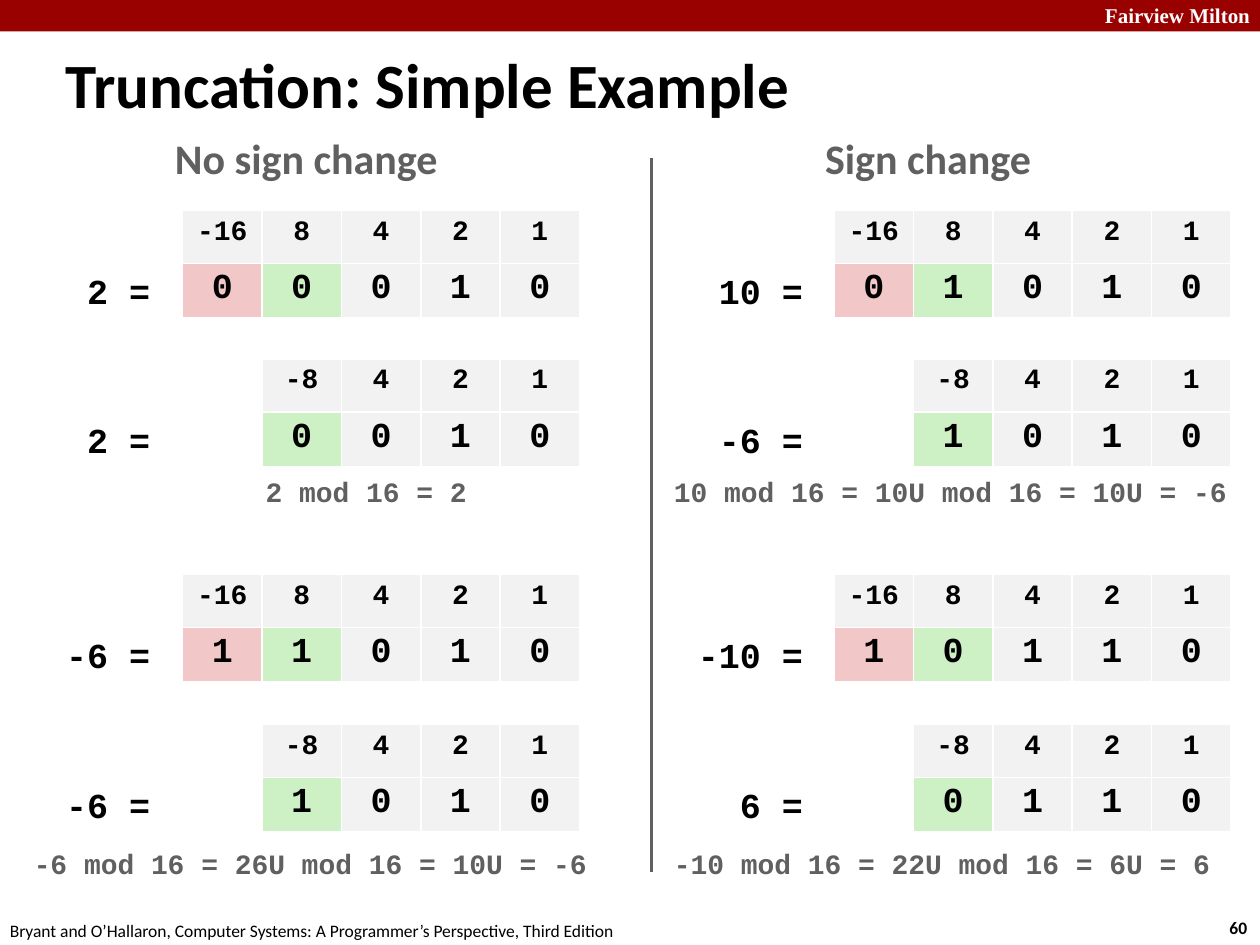
import pptx
import pptx.dml.color
import pptx.enum.shapes
import pptx.enum.text
import pptx.util
from pptx.util import Inches

COLORS = {
    "banner": "990000",
    "white": "FFFFFF",
    "black": "000000",
    "gray": "606060",
    "cell": "F2F2F2",
    "dropped": "F1C7C7",
    "sign": "CDF1C5",
}
ALIGN = pptx.enum.text.PP_ALIGN
CODE_FONT = "Courier New"
WEIGHTS = ["-16", "8", "4", "2", "1"]
SHORT_WEIGHTS = ["", "-8", "4", "2", "1"]
TABLE_TOPS = [1.67, 2.85, 4.56, 5.75]
COLUMN_WIDTH, ROW_HEIGHT = 0.63, 0.42

# Each half: table left edge, label right edge, (value, bits) from top to bottom.
HALVES = [
    (1.45, 1.46, [("2", "00010"), ("2", "0010"), ("-6", "11010"), ("-6", "1010")]),
    (6.62, 6.64, [("10", "01010"), ("-6", "1010"), ("-10", "10110"), ("6", "0110")]),
]
HEADINGS = [("No sign change", 1.29, 2.31), ("Sign change", 6.45, 1.85)]
NOTES = [
    ("2 mod 16 = 2", 2.01, 3.72, 1.82),
    ("10 mod 16 = 10U mod 16 = 10U = -6", 5.25, 3.72, 4.66),
    ("-6 mod 16 = 26U mod 16 = 10U = -6", 0.17, 6.67, 4.66),
    ("-10 mod 16 = 22U mod 16 = 6U = 6", 5.25, 6.67, 4.52),
]


class SlideBuilder:
    def __init__(self, slide, font="Calibri"):
        self.slide = slide
        self.font = font

    def color(self, name):
        return pptx.dml.color.RGBColor.from_string(COLORS[name])

    def fill(self, item, color):
        item.fill.solid()
        item.fill.fore_color.rgb = self.color(color)

    def format(self, para, size, color="black", bold=True, font=None, align=ALIGN.LEFT):
        para.alignment = align
        for span in para.runs:
            span.font.name = font or self.font
            span.font.size = pptx.util.Pt(size)
            span.font.bold = bold
            span.font.color.rgb = self.color(color)

    def text(self, text, left, top, width, height, size, wrap=False, **style):
        box = self.slide.shapes.add_textbox(
            Inches(left), Inches(top), Inches(width), Inches(height))
        frame = box.text_frame
        frame.word_wrap = wrap
        frame.text = text
        self.format(frame.paragraphs[0], size, **style)
        return box

    def banner(self, width, height):
        bar = self.slide.shapes.add_shape(
            pptx.enum.shapes.MSO_SHAPE.RECTANGLE, 0, 0, Inches(width), Inches(height))
        bar.shadow.inherit = False
        self.fill(bar, "banner")
        bar.line.fill.background()

    def divider(self, x, top, bottom):
        line = self.slide.shapes.add_connector(
            pptx.enum.shapes.MSO_CONNECTOR.STRAIGHT,
            Inches(x), Inches(top), Inches(x), Inches(bottom))
        line.line.color.rgb = self.color("gray")
        line.line.width = pptx.util.Pt(2)
        properties = line._element.spPr
        properties.append(properties.makeelement(pptx.oxml.ns.qn("a:effectLst"), {}))

    def bit_table(self, bits, left, top):
        """Draw place weights above bits; four bits leave the first column empty."""
        weights = WEIGHTS if len(bits) == 5 else SHORT_WEIGHTS
        digits = [""] * (5 - len(bits)) + list(bits)
        table = self.slide.shapes.add_table(
            2, 5, Inches(left), Inches(top),
            Inches(5 * COLUMN_WIDTH), Inches(2 * ROW_HEIGHT)).table
        table.horz_banding = False
        for column in table.columns:
            column.width = Inches(COLUMN_WIDTH)
        bit_fills = ["dropped", "sign"] + ["cell"] * 3
        rows = [(weights, ["cell"] * 5, 16), (digits, bit_fills, 20)]
        for row, (texts, fills, size) in enumerate(rows):
            for column, (text, color) in enumerate(zip(texts, fills)):
                cell = table.cell(row, column)
                self.fill(cell, color if text else "white")
                if text:
                    cell.text = text
                    self.format(cell.text_frame.paragraphs[0], size,
                                font=CODE_FONT, align=ALIGN.CENTER)

    def value_label(self, value, right, top):
        """Place 'value =' so that one character's gap remains before the right edge."""
        label = f"{value} ="
        width = (len(label) + 1) / 6 + 0.2
        self.text(label, right - width, top, width, 0.44, 20, wrap=True, font=CODE_FONT)


def main():
    deck = pptx.Presentation()
    deck.slide_width, deck.slide_height = Inches(10), Inches(7.5)
    page = SlideBuilder(deck.slides.add_slide(deck.slide_layouts[6]))

    page.banner(10, 0.25)
    page.text("Fairview Milton", 8.57, -0.03, 1.45, 0.3, 12, wrap=True,
              color="white", font="Times New Roman", align=ALIGN.RIGHT)
    page.text("60", 9.66, 7.23, 0.37, 0.27, 10)
    page.text("Bryant and O’Hallaron, Computer Systems: A Programmer’s Perspective, "
              "Third Edition", -0.02, 7.25, 5.08, 0.27, 10, bold=False)
    title = page.text("Truncation: Simple Example", 0.42, 0.35, 9.58, 0.63, 36, wrap=True)
    title.text_frame.vertical_anchor = pptx.enum.text.MSO_ANCHOR.MIDDLE

    page.divider(5.17, 1.25, 6.92)
    for text, left, width in HEADINGS:
        page.text(text, left, 1, width, 0.5, 24, color="gray")
    for table_left, label_right, examples in HALVES:
        for top, (value, bits) in zip(TABLE_TOPS, examples):
            page.value_label(value, label_right, top + 0.42)
            page.bit_table(bits, table_left, top)
    for text, left, top, width in NOTES:
        page.text(text, left, top, width, 0.37, 16, color="gray", font=CODE_FONT)

    deck.save("out.pptx")


if __name__ == "__main__":
    main()
